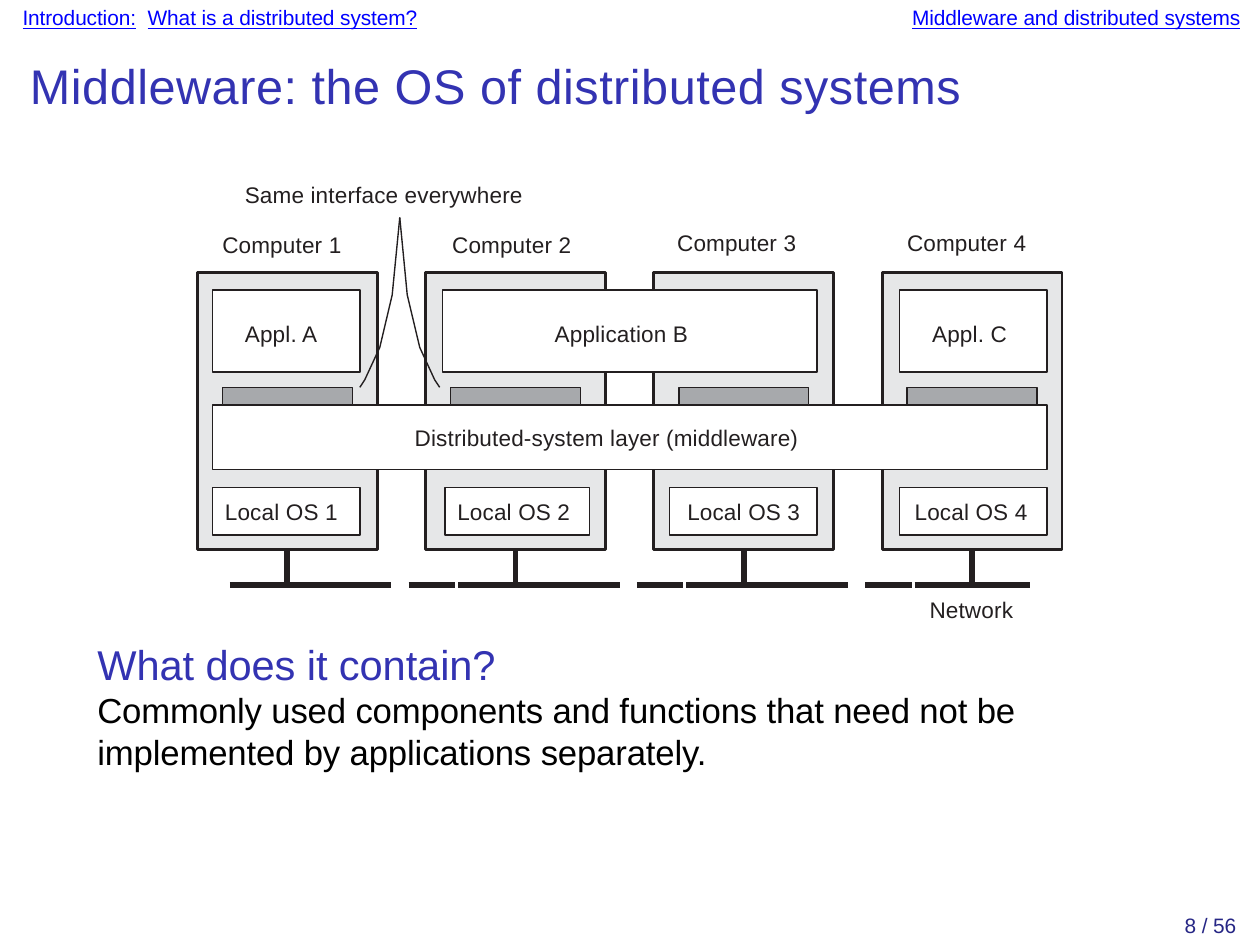
from lxml import etree
from pptx import Presentation
from pptx import util as u
from pptx.dml.color import RGBColor
from pptx.enum import dml, shapes, text
from pptx.oxml.ns import qn

HUES = {"link": "0000FF", "head": "3333B2", "page": "262685", "black": "000000",
        "ink": "231F20", "panel": "E6E7E8", "tab": "A7A9AC", "white": "FFFFFF"}

# Content: runs are (text, format)
LINK = {"hue": "link", "under": True}
HEADER = [("Introduction:", LINK), (" ", {"gap": 1.7}),
          ("What is a distributed system?", LINK), ("\t", {}),
          ("Middleware and distributed systems", LINK)]
TITLE = "Middleware: the OS of distributed systems"
ASK = "What does it contain?"
REPLY = ("Commonly used components and functions that need not be "
         "implemented by applications separately.")
PAGE = "8 / 56"

# Labels: text, left, middle height
LABELS = [("Same interface everywhere", 0.98, 0.78),
          ("Computer 1", 0.89, 0.98), ("Computer 2", 1.81, 0.98),
          ("Computer 3", 2.71, 0.97), ("Computer 4", 3.63, 0.97),
          ("Network", 3.72, 2.44)]
# Applications: text, left, width, text inset
APPS = [("Appl. A", 0.85, 0.59, 0.13), ("Application B", 1.77, 1.5, 0.45),
        ("Appl. C", 3.6, 0.59, 0.13)]
# Local systems: text, left, width, text inset
LOCALS = [("Local OS 1", 0.85, 0.59, 0.05), ("Local OS 2", 1.78, 0.58, 0.05),
          ("Local OS 3", 2.68, 0.59, 0.07), ("Local OS 4", 3.6, 0.59, 0.06)]
LAYER = "Distributed-system layer (middleware)"
# Callout arm: distance from the tip's axis, height
ARM = [(0, 0.87), (0.03, 1.18), (0.08, 1.39), (0.14, 1.52), (0.16, 1.55)]
AXIS = 1.6

COUNT = 4
PITCH = 2.74 / 3
LEFTS = [0.79 + i * PITCH for i in range(COUNT)]
FOOT = 2.2
NET = 2.34
HALF = 0.23

deck = Presentation()
deck.slide_width, deck.slide_height = u.Pt(363), u.Pt(272.5)
slide = deck.slides.add_slide(deck.slide_layouts[6])
art = slide.shapes


def rgb(hue):
    return RGBColor.from_string(HUES[hue])


def write(para, words, size=6.5, hue="ink", gap=0.05, under=False, lead=None, tab=None):
    """Fill a paragraph with a string or a list of formatted runs."""
    if tab:
        stops = etree.SubElement(para._p.get_or_add_pPr(), qn("a:tabLst"))
        etree.SubElement(stops, qn("a:tab"), pos=str(u.Inches(tab)), algn="l")
    para.alignment = text.PP_ALIGN.LEFT
    if lead:
        para.line_spacing = u.Pt(lead)
    for part, own in ([(words, {})] if isinstance(words, str) else words):
        look = {"hue": hue, "gap": gap, "under": under, **own}
        run = para.add_run()
        run.text = part
        font = run.font
        font.name, font.size = "Arial", u.Pt(size)
        font.color.rgb = rgb(look["hue"])
        font.underline = look["under"]
        run._r.get_or_add_rPr().set("spc", str(round(look["gap"] * 100)))


def frame(shape, left=0, top=0, anchor=text.MSO_ANCHOR.MIDDLE, wrap=False):
    body = shape.text_frame
    body.margin_left, body.margin_top = u.Inches(left), u.Inches(top)
    body.margin_right = body.margin_bottom = 0
    body.vertical_anchor, body.word_wrap = anchor, wrap
    return body


def label(words, x, mid, wide=1.4, high=0.14, **form):
    box = art.add_textbox(*map(u.Inches, (x, mid - high / 2, wide, high)))
    write(frame(box, wrap=True).paragraphs[0], words, **form)


def block(x, y, wide, high, fill="white", line=0.41, words="", left=0, top=0):
    box = art.add_shape(shapes.MSO_SHAPE.RECTANGLE, *map(u.Inches, (x, y, wide, high)))
    box.shadow.inherit = False
    box.fill.solid()
    box.fill.fore_color.rgb = rgb(fill)
    box.line.color.rgb, box.line.width = rgb("ink"), u.Pt(line)
    if words:
        write(frame(box, left, top).paragraphs[0], words)
    return box


def wire(x1, y1, x2, y2, dash=None):
    line = art.add_connector(shapes.MSO_CONNECTOR.STRAIGHT, *map(u.Inches, (x1, y1, x2, y2)))
    line.line.color.rgb, line.line.width = rgb("ink"), u.Pt(1.66)
    if dash:
        line.line.dash_style = dash
    etree.SubElement(line._element.spPr, qn("a:effectLst"))
    return line


# Header and title
label(HEADER, 0.09, 0.07, wide=4.92, size=6, hue="head", gap=-0.02, tab=3.56)
label(TITLE, 0.12, 0.34, wide=4.2, high=0.27, size=14, hue="head", gap=0.14)

# Computers, applications and local systems
panels = [block(x, 1.09, 0.72, FOOT - 1.09, "panel", 0.83) for x in LEFTS]
for name, x, wide, inset in LOCALS:
    block(x, 1.95, wide, 0.19, words=name, left=inset)
for name, x, wide, inset in APPS:
    block(x, 1.16, wide, 0.33, words=name, left=inset, top=0.02)

# Middleware layer with its interfaces
block(0.85, 1.62, 3.34, 0.26, words=LAYER, left=0.81)
for x in LEFTS:
    block(x + 0.1, 1.55, 0.52, 0.07, "tab")

# Labels and callout
for name, x, mid in LABELS:
    label(name, x, mid)
for side in (-1, 1):
    spots = [(u.Inches(AXIS + side * dx), u.Inches(y)) for dx, y in ARM]
    path = art.build_freeform(*spots[0])
    path.add_line_segments(spots[1:], close=False)
    arm = path.convert_to_shape()
    arm.shadow.inherit = False
    arm.fill.background()
    arm.line.color.rgb, arm.line.width = rgb("ink"), u.Pt(0.41)

# Network
for i, panel in enumerate(panels):
    mid = LEFTS[i] + 0.36
    wire(mid, FOOT, mid, NET).begin_connect(panel, 2)
    wire(mid - HALF, NET, mid + HALF, NET)
    if i < COUNT - 1:
        wire(mid + HALF, NET, mid + PITCH - HALF, NET, dml.MSO_LINE.LONG_DASH)

# Question and answer
box = art.add_textbox(*map(u.Inches, (0.39, 2.56, 3.73, 0.55)))
body = frame(box, anchor=text.MSO_ANCHOR.TOP, wrap=True)
write(body.paragraphs[0], ASK, size=12, hue="head", gap=-0.03, lead=14.1)
write(body.add_paragraph(), REPLY, size=10, hue="black", gap=-0.03, lead=12)

# Page number
label(PAGE, 4.74, 3.7, wide=0.28, size=6, hue="page", gap=-0.02)

deck.save("out.pptx")
